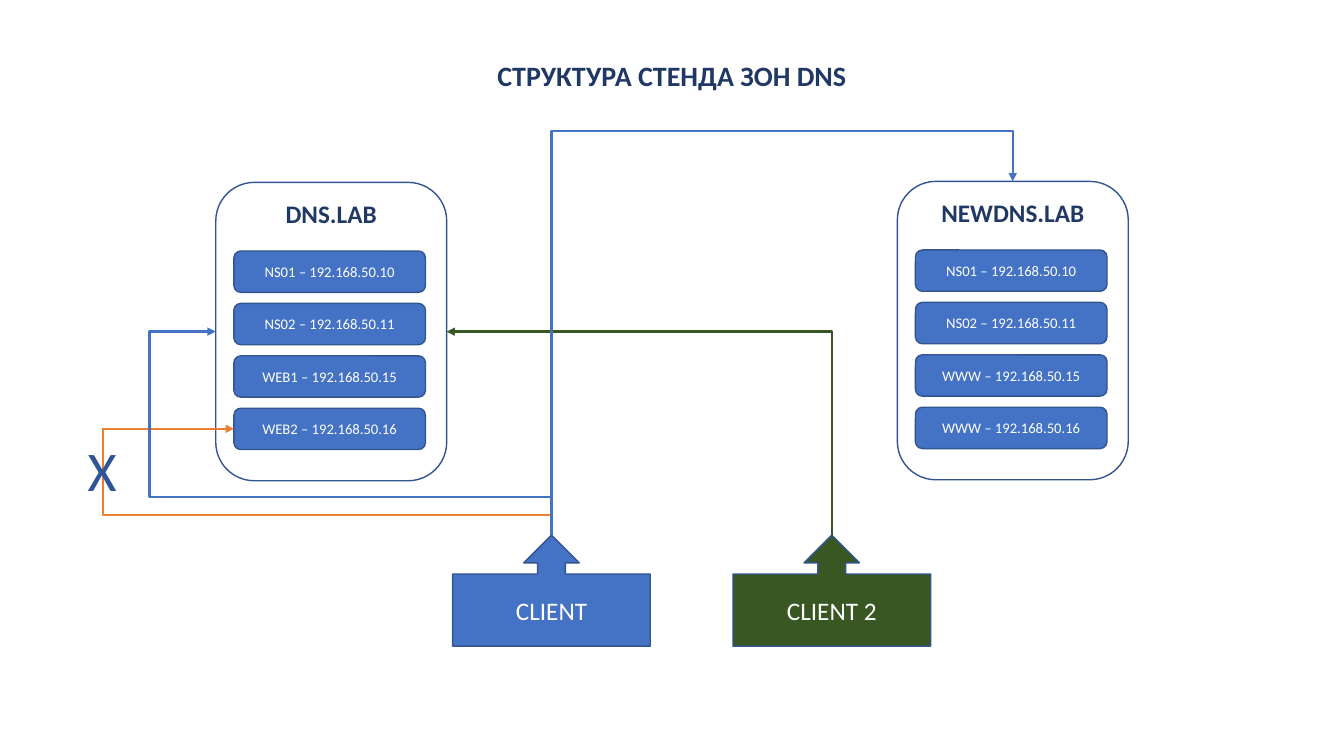
"""Build the slide showing the structure of the DNS zone test stand."""
from dataclasses import dataclass
from typing import Optional

from lxml import etree
from pptx import Presentation
from pptx import util as u
from pptx.dml.color import RGBColor
from pptx.enum import shapes, text
from pptx.oxml.ns import qn

FONT = "Calibri"
BLUE, BORDER, GREEN, ORANGE = "4472C4", "325491", "385723", "ED7D31"
NAVY, CROSS_BLUE, WHITE = "203864", "2F5597", "FFFFFF"
SLIDE_WIDTH, SLIDE_HEIGHT = 13.33, 7.5

ZONE_WIDTH, ZONE_HEIGHT = 2.29, 2.96
HOST_WIDTH, HOST_HEIGHT = 1.9, 0.41
HOST_LEFT, HOST_TOP, HOST_STEP = 0.18, 0.68, 0.52
CLIENT_TOP, CLIENT_WIDTH, CLIENT_HEIGHT = 5.31, 1.96, 1.1


@dataclass(frozen=True)
class Zone:
    """A DNS zone with the hosts it holds."""
    name: str
    left: float
    top: float
    hosts: tuple[str, ...]

    @property
    def middle(self) -> float:
        """Height of the centre of the zone."""
        return self.top + ZONE_HEIGHT / 2


@dataclass(frozen=True)
class Client:
    """A client, drawn as a callout with an upward arrow."""
    name: str
    left: float
    color: str

    @property
    def tip(self) -> tuple[float, float]:
        """Point of the arrow."""
        return self.left + CLIENT_WIDTH / 2, CLIENT_TOP


@dataclass(frozen=True)
class Route:
    """An arrow that leaves a client upwards and bends at right angles."""
    client: Client
    end: tuple[float, float]
    color: str
    preset: str
    turn_y: Optional[float] = None
    turn_x: Optional[float] = None


DNS_LAB = Zone("DNS.LAB", 2.14, 1.81, (
    "NS01 – 192.168.50.10", "NS02 – 192.168.50.11",
    "WEB1 – 192.168.50.15", "WEB2 – 192.168.50.16"))
NEWDNS_LAB = Zone("NEWDNS.LAB", 8.9, 1.8, (
    "NS01 – 192.168.50.10", "NS02 – 192.168.50.11",
    "WWW – 192.168.50.15", "WWW – 192.168.50.16"))
CLIENT_1 = Client("CLIENT", 4.49, BLUE)
CLIENT_2 = Client("CLIENT 2", 7.27, GREEN)

WEB2_ENTRY = (DNS_LAB.left + HOST_LEFT,
              DNS_LAB.top + HOST_TOP + 3 * HOST_STEP + HOST_HEIGHT / 2)
BLOCKED_ROUTE = Route(CLIENT_1, WEB2_ENTRY, ORANGE, "bentConnector4", 5.11, 1.02)
GREEN_ROUTE = Route(CLIENT_2, (DNS_LAB.left + ZONE_WIDTH, DNS_LAB.middle),
                    GREEN, "bentConnector2")
NEWDNS_ROUTE = Route(CLIENT_1, (NEWDNS_LAB.left + ZONE_WIDTH / 2, NEWDNS_LAB.top),
                     BLUE, "bentConnector3", 1.3)
DNS_ROUTE = Route(CLIENT_1, (DNS_LAB.left, DNS_LAB.middle),
                  BLUE, "bentConnector4", 4.93, 1.48)


def rgb(value: str) -> RGBColor:
    """Turn a hex string into a colour."""
    return RGBColor.from_string(value)


def write(shape, content: str, *, size: float, color: str, bold: bool = False,
          align=text.PP_ALIGN.CENTER, anchor=text.MSO_ANCHOR.MIDDLE,
          wrap: bool = True) -> None:
    """Put formatted text into a shape."""
    frame = shape.text_frame
    frame.word_wrap = wrap
    frame.vertical_anchor = anchor
    paragraph = frame.paragraphs[0]
    paragraph.alignment = align
    run = paragraph.add_run()
    run.text = content
    run.font.name = FONT
    run.font.size = u.Pt(size)
    run.font.bold = bold
    run.font.color.rgb = rgb(color)


def add_box(container, preset, left: float, top: float, width: float,
            height: float, fill: Optional[str] = None):
    """Add a bordered preset shape, unfilled when no fill is given."""
    shape = container.add_shape(preset, u.Inches(left), u.Inches(top),
                                u.Inches(width), u.Inches(height))
    shape.shadow.inherit = False
    if fill:
        shape.fill.solid()
        shape.fill.fore_color.rgb = rgb(fill)
    else:
        shape.fill.background()
    shape.line.color.rgb = rgb(BORDER)
    shape.line.width = u.Pt(1)
    return shape


def add_label(slide, content: str, left: float, top: float, width: float,
              height: float, **text_format) -> None:
    """Add a text box that grows with its text."""
    box = slide.shapes.add_textbox(u.Inches(left), u.Inches(top),
                                   u.Inches(width), u.Inches(height))
    write(box, content, anchor=text.MSO_ANCHOR.TOP, **text_format)
    box.text_frame.auto_size = text.MSO_AUTO_SIZE.SHAPE_TO_FIT_TEXT


def add_zone(slide, zone: Zone) -> None:
    """Draw a zone and its column of hosts as one group."""
    group = slide.shapes.add_group_shape().shapes
    rounded = shapes.MSO_SHAPE.ROUNDED_RECTANGLE
    panel = add_box(group, rounded, zone.left, zone.top, ZONE_WIDTH, ZONE_HEIGHT)
    write(panel, zone.name, size=18, color=NAVY, bold=True,
          anchor=text.MSO_ANCHOR.TOP)
    for row, name in enumerate(zone.hosts):
        host = add_box(group, rounded, zone.left + HOST_LEFT,
                       zone.top + HOST_TOP + row * HOST_STEP,
                       HOST_WIDTH, HOST_HEIGHT, BLUE)
        write(host, name, size=10.5, color=WHITE)


def add_client(slide, client: Client) -> None:
    """Draw a client callout."""
    shape = add_box(slide.shapes, shapes.MSO_SHAPE.UP_ARROW_CALLOUT, client.left,
                    CLIENT_TOP, CLIENT_WIDTH, CLIENT_HEIGHT, client.color)
    write(shape, client.name, size=18, color=WHITE)


def add_route(slide, route: Route) -> None:
    """Draw a bent arrow: a frame turned by 270 degrees, so that it starts upwards."""
    (start_x, start_y), (end_x, end_y) = route.client.tip, route.end
    rise, run = start_y - end_y, end_x - start_x
    left = (start_x + end_x - rise) / 2
    middle = (start_y + end_y) / 2
    connector = slide.shapes.add_connector(
        shapes.MSO_CONNECTOR.ELBOW, u.Inches(left), u.Inches(middle - run / 2),
        u.Inches(left + rise), u.Inches(middle + run / 2))
    connector.line.color.rgb = rgb(route.color)
    connector.line.width = u.Pt(1.75)

    properties = connector._element.spPr
    properties.find(qn("a:xfrm")).set("rot", str(270 * 60000))
    geometry = properties.find(qn("a:prstGeom"))
    geometry.set("prst", route.preset)
    bends = []
    if route.turn_y is not None:
        bends.append((start_y - route.turn_y) / rise)
    if route.turn_x is not None:
        bends.append((route.turn_x - start_x) / run)
    for number, share in enumerate(bends, 1):
        etree.SubElement(geometry.find(qn("a:avLst")), qn("a:gd"),
                         name=f"adj{number}", fmla=f"val {round(share * 100000)}")
    etree.SubElement(properties.find(qn("a:ln")), qn("a:tailEnd"), type="triangle")
    etree.SubElement(properties, qn("a:effectLst"))


def main() -> None:
    """Build and save the presentation."""
    presentation = Presentation()
    presentation.slide_width = u.Inches(SLIDE_WIDTH)
    presentation.slide_height = u.Inches(SLIDE_HEIGHT)
    slide = presentation.slides.add_slide(presentation.slide_layouts[6])

    for zone in (DNS_LAB, NEWDNS_LAB):
        add_zone(slide, zone)
    add_label(slide, "СТРУКТУРА СТЕНДА ЗОН DNS", 0, 0.53, SLIDE_WIDTH, 0.44,
              size=20, color=NAVY, bold=True)
    for client in (CLIENT_1, CLIENT_2):
        add_client(slide, client)
    for route in (GREEN_ROUTE, BLOCKED_ROUTE):
        add_route(slide, route)
    add_label(slide, "X", 0.77, 4.27, 0.49, 0.77, size=40, color=CROSS_BLUE,
              align=text.PP_ALIGN.LEFT, wrap=False)
    for route in (NEWDNS_ROUTE, DNS_ROUTE):
        add_route(slide, route)
    presentation.save("out.pptx")


main()
